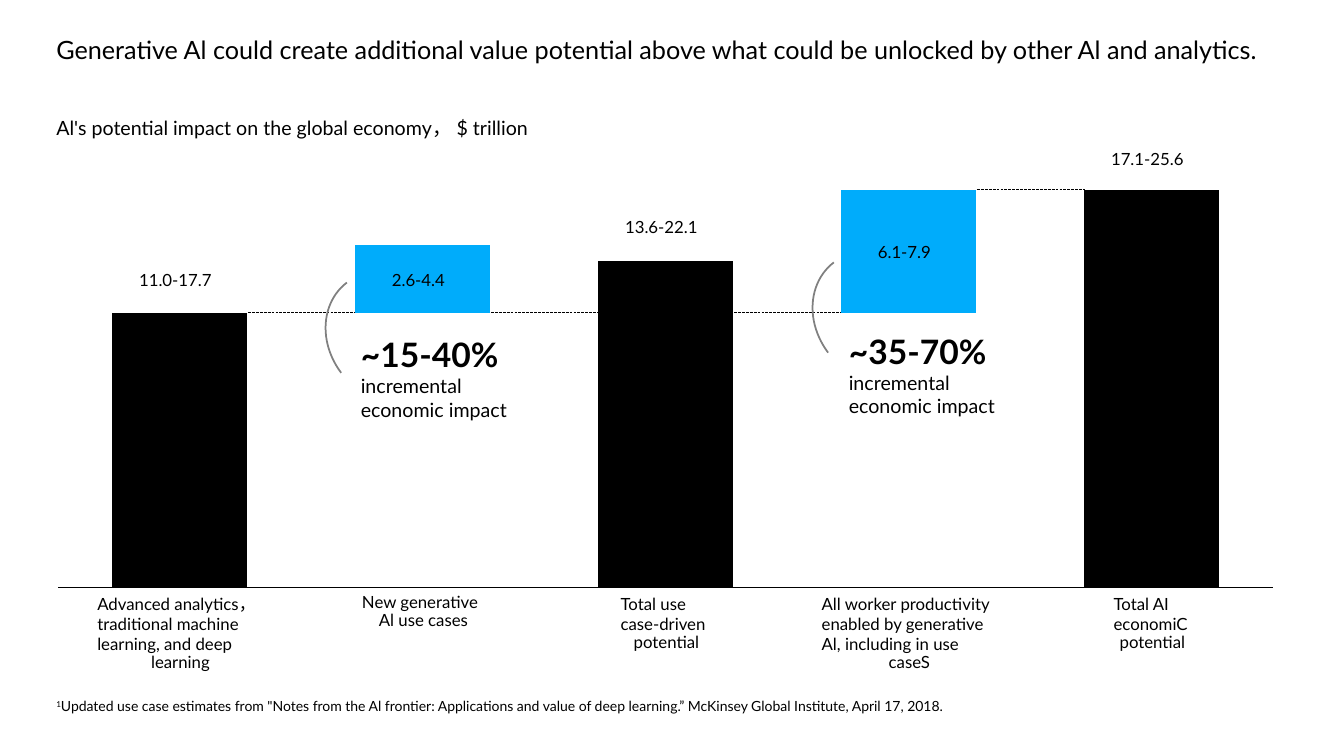
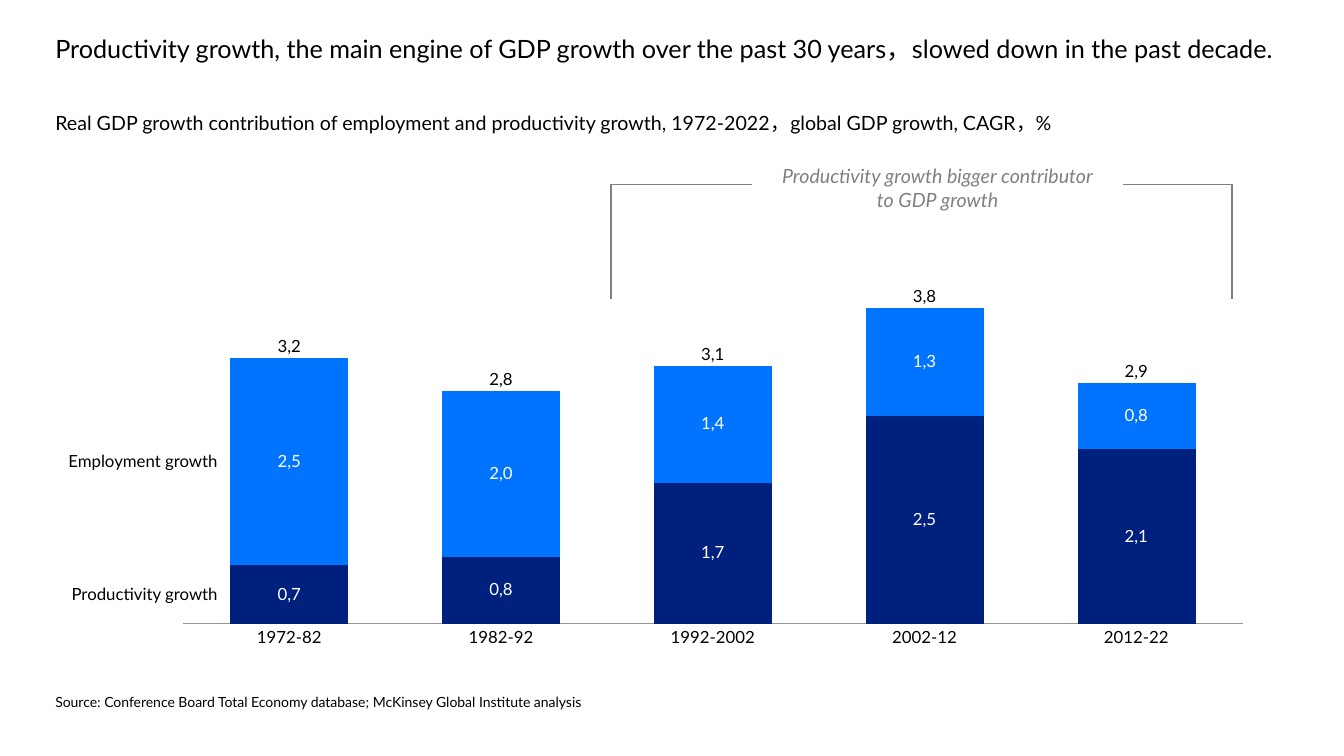
"""Build two slides on the economic value of AI and on productivity growth."""
from dataclasses import dataclass, field
from typing import NamedTuple

from lxml import etree
from pptx import Presentation
from pptx.chart.data import CategoryChartData
from pptx.dml.color import RGBColor
from pptx.enum.chart import XL_CHART_TYPE as ChartType
from pptx.enum.chart import XL_TICK_LABEL_POSITION as LabelPosition
from pptx.enum.chart import XL_TICK_MARK as TickMark
from pptx.enum.dml import MSO_LINE as Dash
from pptx.enum.shapes import MSO_CONNECTOR as Connector
from pptx.enum.shapes import MSO_SHAPE as Shape
from pptx.enum.text import MSO_ANCHOR as Anchor
from pptx.enum.text import PP_ALIGN as Align
from pptx.oxml.ns import qn
from pptx.util import Inches, Pt

FONT = "Lato"
CHART_FONT = "Noto Sans CJK SC"
BLACK, WHITE, GRAY, AXIS_GRAY = "000000", "FFFFFF", "808080", "969696"
SKY, BLUE, NAVY = "00ACFB", "0074FF", "00207E"
NO_INSET = (0, 0, 0, 0)


class Box(NamedTuple):
    left: float
    top: float
    width: float
    height: float


class Heading(NamedTuple):
    text: str
    top: float
    size: int


class Column(NamedTuple):
    label: str
    label_width: float
    value: str
    value_top: float


class Callout(NamedTuple):
    share: str
    left: float
    top: float
    arc_left: float
    arc_top: float


@dataclass
class Series:
    values: list[int | None]
    color: str
    point_colors: dict[int, str | None] = field(default_factory=dict)


@dataclass
class StackedChart:
    box: Box
    plot: Box
    maximum: int
    axis_color: str
    series: list[Series]


IMPACT_COLUMNS = [
    Column("Advanced analytics，\ntraditional machine\nlearning, and deep\nlearning", 1.65, "11.0-17.7", 2.63),
    Column("New generative\nAl use cases", 1.22, "2.6-4.4", 2.63),
    Column("Total use\ncase-driven\npotential", 0.91, "13.6-22.1", 2.1),
    Column("All worker productivity\nenabled by generative\nAl, including in use\ncaseS", 1.74, "6.1-7.9", 2.35),
    Column("Total AI\neconomiC\npotential", 0.77, "17.1-25.6", 1.43),
]
IMPACT_CALLOUTS = [
    Callout("~15-40%", 3.48, 3.26, 3.17, 2.76),
    Callout("~35-70%", 8.32, 3.23, 8, 2.56),
]
IMPACT_CHART = StackedChart(
    Box(0.49, 1.79, 12.23, 4.13), Box(0.007, 0.022, 0.985, 0.956), 100, BLACK,
    [
        Series([69, 69, 69, 69, 100], BLACK, {1: None, 3: None}),
        Series([None, 17, 13, 31, None], SKY, {2: BLACK}),
    ],
)
PERIODS = ["1972-82", "1982-92", "1992-2002", "2002-12", "2012-22"]
UNITS_PER_PERCENT = 40
GROWTH_CHART = StackedChart(
    Box(1.73, 2.97, 10.7, 3.31), Box(0.008, 0.027, 0.983, 0.945), 152, AXIS_GRAY,
    [
        Series([28, 32, 68, 100, 84], NAVY),
        Series([100, 80, 56, 52, 32], BLUE),
    ],
)
SERIES_NAMES = ["Productivity growth", "Employment growth"]


def rgb(color: str) -> RGBColor:
    """Turn a hex string into a colour."""
    return RGBColor.from_string(color)


def add_text(page, at: Box, text: str, *, size=12, color=BLACK, italic=False,
             align=Align.LEFT, anchor=Anchor.TOP, inset=(0.1, 0.05, 0.1, 0.05),
             spacing=None, wrap=True, fill=None, superscript=""):
    """Add a text box with one paragraph for each line and return its frame."""
    box = page.shapes.add_textbox(*map(Inches, at))
    if fill:
        box.fill.solid()
        box.fill.fore_color.rgb = rgb(fill)
    frame = box.text_frame
    frame.word_wrap = wrap
    frame.vertical_anchor = anchor
    (frame.margin_left, frame.margin_top,
     frame.margin_right, frame.margin_bottom) = map(Inches, inset)
    for index, line in enumerate(text.split("\n")):
        para = frame.add_paragraph() if index else frame.paragraphs[0]
        para.alignment = align
        para.line_spacing = spacing
        for words in filter(None, [superscript, line]):
            span = para.add_run()
            span.text = words
            span.font.name = FONT
            span.font.size = Pt(size)
            span.font.italic = italic
            span.font.color.rgb = rgb(color)
    if superscript:
        frame.paragraphs[0].runs[0]._r.get_or_add_rPr().set("baseline", "30000")
    return frame


def add_label(page, center: float, top: float, width: float, text: str, **style):
    """Add a tight centred label around a horizontal position."""
    options = {"align": Align.CENTER, "inset": NO_INSET, "spacing": 0.9} | style
    return add_text(page, Box(center - width / 2, top, width, 0.18), text, **options)


def add_line(page, start: tuple[float, float], end: tuple[float, float],
             color: str, width: float, dash=None) -> None:
    """Draw a straight line without a shadow."""
    line = page.shapes.add_connector(Connector.STRAIGHT, *map(Inches, (*start, *end)))
    line.line.color.rgb = rgb(color)
    line.line.width = Pt(width)
    if dash:
        line.line.dash_style = dash
    etree.SubElement(line._element.spPr, qn("a:effectLst"))


def add_headings(page, left: float, headings: list[Heading], superscript="") -> None:
    """Add the title, the subtitle and the footnote."""
    for heading in headings:
        add_text(page, Box(left, heading.top, 12.45, 0.34), heading.text, size=heading.size,
                 superscript=superscript if heading is headings[-1] else "")


def paint(fill, color: str | None) -> None:
    """Fill with a solid colour, or with nothing."""
    if color is None:
        fill.background()
    else:
        fill.solid()
        fill.fore_color.rgb = rgb(color)


def set_plot_layout(chart, plot: Box) -> None:
    """Fix the inner plot area as fractions of the chart."""
    area = chart._chartSpace.chart.plotArea
    for old in area.findall(qn("c:layout")):
        area.remove(old)
    layout = etree.Element(qn("c:layout"))
    area.insert(0, layout)
    manual = etree.SubElement(layout, qn("c:manualLayout"))
    settings = {"layoutTarget": "inner", "xMode": "edge", "yMode": "edge",
                "x": plot.left, "y": plot.top, "w": plot.width, "h": plot.height}
    for name, value in settings.items():
        etree.SubElement(manual, qn(f"c:{name}")).set("val", str(value))


def add_stacked_chart(page, content: StackedChart) -> None:
    """Add a stacked column chart with a bare category axis."""
    data = CategoryChartData()
    data.categories = [str(number) for number in range(1, 6)]
    for number, series in enumerate(content.series, 1):
        data.add_series(f"Series {number}", series.values)
    chart = page.shapes.add_chart(
        ChartType.COLUMN_STACKED, *map(Inches, content.box), data).chart
    chart.has_legend = False
    chart.has_title = False
    chart.font.size = Pt(10)
    chart.font.name = CHART_FONT
    chart.font.color.rgb = rgb(BLACK)
    values, categories = chart.value_axis, chart.category_axis
    values.minimum_scale, values.maximum_scale = 0, content.maximum
    values.has_major_gridlines = False
    values.visible = False
    categories.tick_label_position = LabelPosition.NONE
    categories.major_tick_mark = categories.minor_tick_mark = TickMark.NONE
    categories.format.line.color.rgb = rgb(content.axis_color)
    categories.format.line.width = Pt(0.75)
    plot = chart.plots[0]
    plot.gap_width, plot.overlap = 80, 100
    plot.vary_by_categories = False
    for drawn, series in zip(plot.series, content.series):
        paint(drawn.format.fill, series.color)
        for index, color in series.point_colors.items():
            paint(drawn.points[index].format.fill, color)
    set_plot_layout(chart, content.plot)


def add_callout(page, callout: Callout) -> None:
    """Add an arc and the incremental impact beside it."""
    arc = page.shapes.add_shape(
        Shape.ARC, *map(Inches, (callout.arc_left, callout.arc_top, 1.36, 1.17)))
    arc.rotation = 232.9
    arc.shadow.inherit = False
    arc.fill.background()
    arc.line.color.rgb = rgb(GRAY)
    arc.line.width = Pt(1.25)
    frame = add_text(page, Box(callout.left, callout.top, 1.73, 0.98),
                     f"{callout.share}\nincremental\neconomic impact", size=14, wrap=False)
    share = frame.paragraphs[0].runs[0].font
    share.size = Pt(24)
    share.bold = True


def build_impact(page) -> None:
    """Build the slide on AI's potential impact."""
    step = 2.41
    for index, height in enumerate([3.1, 3.1, 3.1, 1.88]):
        start = 2.46 + index * step
        add_line(page, (start, height), (start + 1.07, height), BLACK, 0.25, Dash.LONG_DASH)
    add_stacked_chart(page, IMPACT_CHART)
    for index, column in enumerate(IMPACT_COLUMNS):
        center = 1.79 + index * step
        frame = add_label(page, center, 5.89, column.label_width, column.label)
        *leading, last = frame.paragraphs
        for para in leading:
            para.alignment = Align.LEFT
            para.line_spacing = 1.0 if len(leading) > 1 else 0.9
        last.alignment = Align.CENTER
        add_label(page, center - 0.05, column.value_top + 0.05, 0.94, column.value, spacing=1.0)
    for callout in IMPACT_CALLOUTS:
        add_callout(page, callout)
    add_headings(page, 0.46, [
        Heading("Generative Al could create additional value potential above what could be "
                "unlocked by other Al and analytics.", 0.29, 18),
        Heading("Al's potential impact on the global economy， $ trillion", 1.1, 14),
        Heading("Updated use case estimates from \"Notes from the Al frontier: Applications and "
                "value of deep learning.” McKinsey Global Institute, April 17, 2018.", 6.87, 10),
    ], superscript="1")


def build_growth(page) -> None:
    """Build the slide on GDP and productivity growth."""
    add_headings(page, 0.45, [
        Heading("Productivity growth, the main engine of GDP growth over the past 30 years，"
                "slowed down in the past decade.", 0.28, 18),
        Heading("Real GDP growth contribution of employment and productivity growth, "
                "1972-2022，global GDP growth, CAGR，%", 1.05, 14),
        Heading("Source: Conference Board Total Economy database; "
                "McKinsey Global Institute analysis", 6.83, 10),
    ])
    add_stacked_chart(page, GROWTH_CHART)
    box, plot = GROWTH_CHART.box, GROWTH_CHART.plot
    baseline = box.top + (plot.top + plot.height) * box.height
    unit = plot.height * box.height / GROWTH_CHART.maximum
    for index, period in enumerate(PERIODS):
        center = 2.87 + index * 2.1
        total = 0
        add_label(page, center, 6.24, 0.9, period)
        for name, series in zip(SERIES_NAMES, GROWTH_CHART.series):
            value = series.values[index]
            top = baseline - (total + value / 2) * unit - 0.09
            total += value
            add_label(page, center, top, 0.5, percent(value), color=WHITE, anchor=Anchor.MIDDLE)
            if index == 0:
                add_label(page, 1.36, top, 1.6, name, align=Align.RIGHT, anchor=Anchor.MIDDLE)
        add_label(page, center, baseline - total * unit - 0.2, 0.5, percent(total),
                  anchor=Anchor.BOTTOM)
    left, right, top, bottom = 6.06, 12.22, 1.83, 2.97
    for start, end in [((left, bottom), (left, top)), ((right, bottom), (right, top)),
                       ((left, top), (right, top))]:
        add_line(page, start, end, GRAY, 1)
    add_text(page, Box(7.46, 1.58, 3.68, 0.57),
             "Productivity growth bigger contributor\nto GDP growth", size=14, color=GRAY,
             italic=True, align=Align.CENTER, wrap=False, fill=WHITE)


def percent(value: int) -> str:
    """Write chart units as a percentage with a decimal comma."""
    return f"{value / UNITS_PER_PERCENT:.1f}".replace(".", ",")


def main() -> None:
    """Build and save the deck."""
    deck = Presentation()
    deck.slide_width, deck.slide_height = Inches(13.33), Inches(7.5)
    for build in (build_impact, build_growth):
        build(deck.slides.add_slide(deck.slide_layouts[6]))
    deck.save("out.pptx")


if __name__ == "__main__":
    main()
